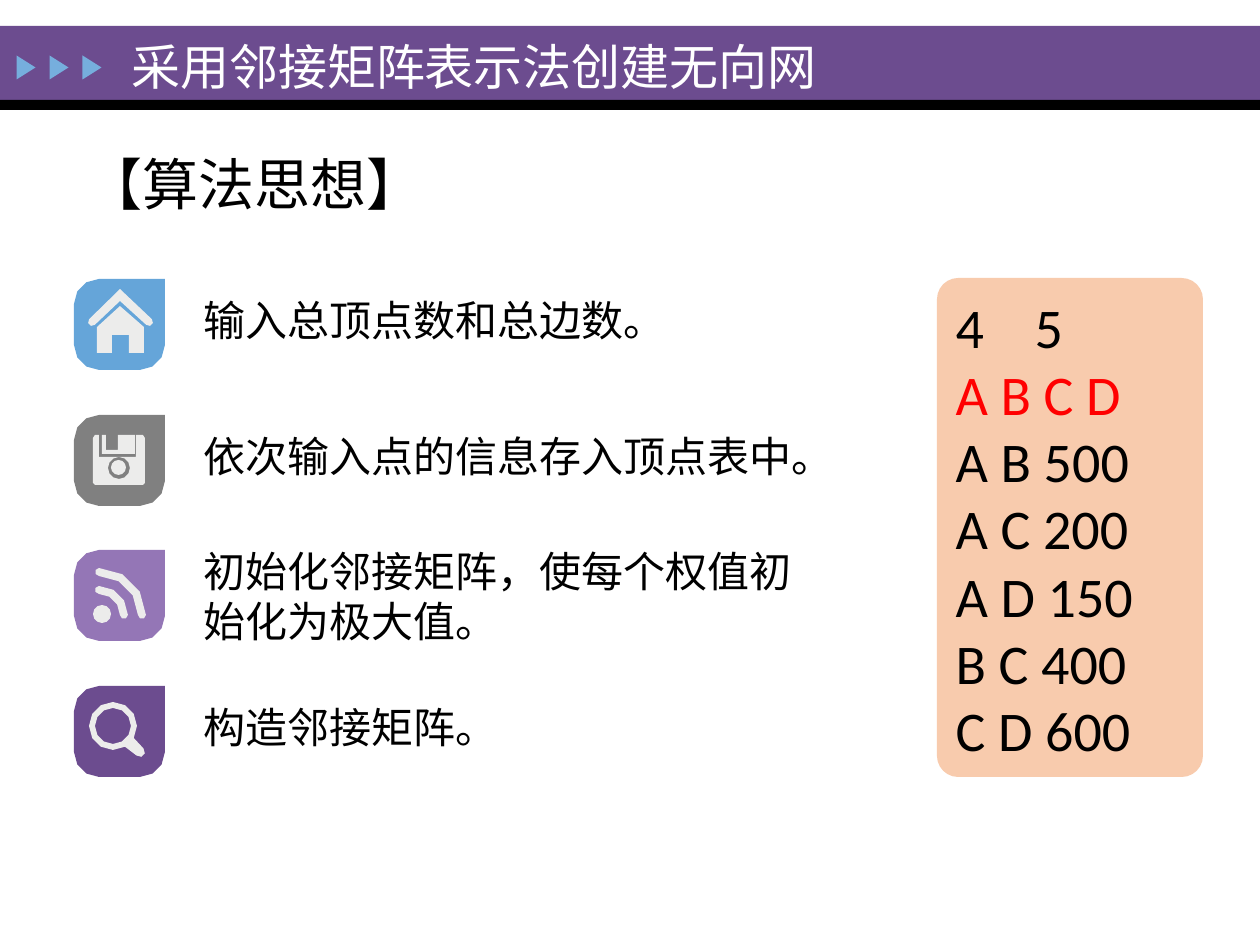
"""Build the slide on creating an undirected network with an adjacency matrix."""
import math

from lxml import etree
from pptx import Presentation, util as u
from pptx.dml import color
from pptx.enum import shapes, text
from pptx.oxml import ns

PX = 914400 / 126
PURPLE, BLACK, WHITE, PALE = "6C4C8F", "000000", "FFFFFF", "ECECEB"


def paint(shape, fill):
    shape.shadow.inherit = False
    shape.fill.solid()
    shape.fill.fore_color.rgb = color.RGBColor.from_string(fill)
    shape.line.fill.background()


def arc(x, y, radius, start, end):
    steps = math.ceil(abs(end - start) / (30 if radius > 10 else 60))
    angles = [math.radians(start + (end - start) * i / steps) for i in range(steps + 1)]
    return [(x + radius * math.cos(a), y + radius * math.sin(a)) for a in angles]


presentation = Presentation()
presentation.slide_width, presentation.slide_height = u.Inches(10), u.Inches(7.5)
slide = presentation.slides.add_slide(presentation.slide_layouts[6])

for top, height, fill in [(26, 74, PURPLE), (100, 10, BLACK)]:
    band = slide.shapes.add_shape(
        shapes.MSO_SHAPE.RECTANGLE, 0, round(top * PX), presentation.slide_width, round(height * PX))
    paint(band, fill)

for left in range(14, 81, 33):
    box = [round(n * PX) for n in (left, 58, 24, 19)]
    marker = slide.shapes.add_shape(shapes.MSO_SHAPE.ISOSCELES_TRIANGLE, *box)
    marker.rotation = 90
    paint(marker, "76AEDD")

tile = [(91, 0), *arc(66, 66, 25, 0, 90), *arc(25, 66, 25, 90, 180), *arc(25, 25, 25, 180, 270)]
roof = [(46, 10), *arc(75, 43, 4, -45, 135), (46, 22), *arc(18, 43, 4, 45, 225)]
house = [(23, 48), (46, 27), (70, 48), (70, 74), (55, 74), (55, 56), (38, 56), (38, 74), (23, 74)]
shutter = [(28, 20), (32, 20), (32, 35), (44, 35), (44, 20), (61, 20), (61, 39), (28, 39)]
disk = [(25, 20), (25, 42), (62, 42), (62, 20), (69, 20), (71, 23), (71, 68), (69, 70),
        (21, 70), (19, 68), (19, 23), (21, 20)]
waves = [[*arc(25, 65, radius, -90, 0), *arc(25 + radius - 4, 65, 4, 0, 180),
          *arc(25, 65, radius - 8, 0, -90), *arc(25, 65 - radius + 4, 4, 90, 270)]
         for radius in (29, 47)]
lens = [*arc(39, 40, 24, 60, 390), *arc(66, 66, 5, -45, 135)]
icons = [
    ("65A5D9", [[roof], [house]], None),
    ("808080", [[shutter], [disk, arc(45, 53, 11, 360, 0)]], (37, 45, 15)),
    ("9476B6", [[wave] for wave in waves], (19, 55, 18)),
    (PURPLE, [[lens, arc(39, 40, 18, 360, 0)]], None),
]
for row, (fill, parts, dot) in enumerate(icons):
    icon = slide.shapes.add_group_shape()
    left, top = 74, round(279 + 407 * row / 3)
    for part_fill, contours in [(fill, [tile])] + [(PALE, part) for part in parts]:
        outlines = [[((left + x) * PX, (top + y) * PX) for x, y in contour] for contour in contours]
        builder = icon.shapes.build_freeform(*outlines[0][0])
        builder.add_line_segments(outlines[0][1:])
        for hole in outlines[1:]:
            builder.move_to(*hole[0])
            builder.add_line_segments(hole[1:])
        paint(builder.convert_to_shape(), part_fill)
    if dot:
        x, y, size = dot
        box = [round(n * PX) for n in (left + x, top + y, size, size)]
        paint(icon.shapes.add_shape(shapes.MSO_SHAPE.OVAL, *box), PALE)

box = [round(n * PX) for n in (937, 278, 266, 499)]
card = slide.shapes.add_shape(shapes.MSO_SHAPE.ROUNDED_RECTANGLE, *box)
card.adjustments[0] = 0.08
paint(card, "F8CBAD")

middle, upper = text.MSO_ANCHOR.MIDDLE, text.MSO_ANCHOR.TOP
sample = ["4\t5", "A B C D", "A B 500", "A C 200", "A D 150", "B C 400", "C D 600"]
texts = [
    ((74, 142, 520, 83), middle, 32, BLACK, ["【算法思想】"]),
    ((119, 30, 863, 71), middle, 28, WHITE, ["采用邻接矩阵表示法创建无向网"]),
    (card, middle, 32, BLACK, sample),
    ((191, 288, 567, 64), upper, 24, BLACK, ["输入总顶点数和总边数。"]),
    ((191, 424, 638, 64), upper, 24, BLACK, ["依次输入点的信息存入顶点表中。"]),
    ((191, 539, 648, 115), upper, 24, BLACK, ["初始化邻接矩阵，使每个权值初始化为极大值。"]),
    ((191, 695, 567, 64), upper, 24, BLACK, ["构造邻接矩阵。"]),
]
for place, anchor, size, ink, lines in texts:
    shape = place if place is card else slide.shapes.add_textbox(*[round(n * PX) for n in place])
    frame = shape.text_frame
    for name, value in {"word_wrap": True, "vertical_anchor": anchor}.items():
        setattr(frame, name, value)
    for index, line in enumerate(lines):
        paragraph = frame.paragraphs[0] if index == 0 else frame.add_paragraph()
        paragraph.alignment = text.PP_ALIGN.LEFT
        if "\t" in line:
            properties = paragraph._p.get_or_add_pPr()
            tabs = etree.SubElement(properties, ns.qn("a:tabLst"))
            etree.SubElement(tabs, ns.qn("a:tab"), pos=str(round(79 * PX)), algn="l")
        run = paragraph.add_run()
        run.text = line
        for name, value in {"name": "Calibri", "size": u.Pt(size)}.items():
            setattr(run.font, name, value)
        run.font.color.rgb = color.RGBColor.from_string("FF0000" if line == "A B C D" else ink)

presentation.save("out.pptx")
